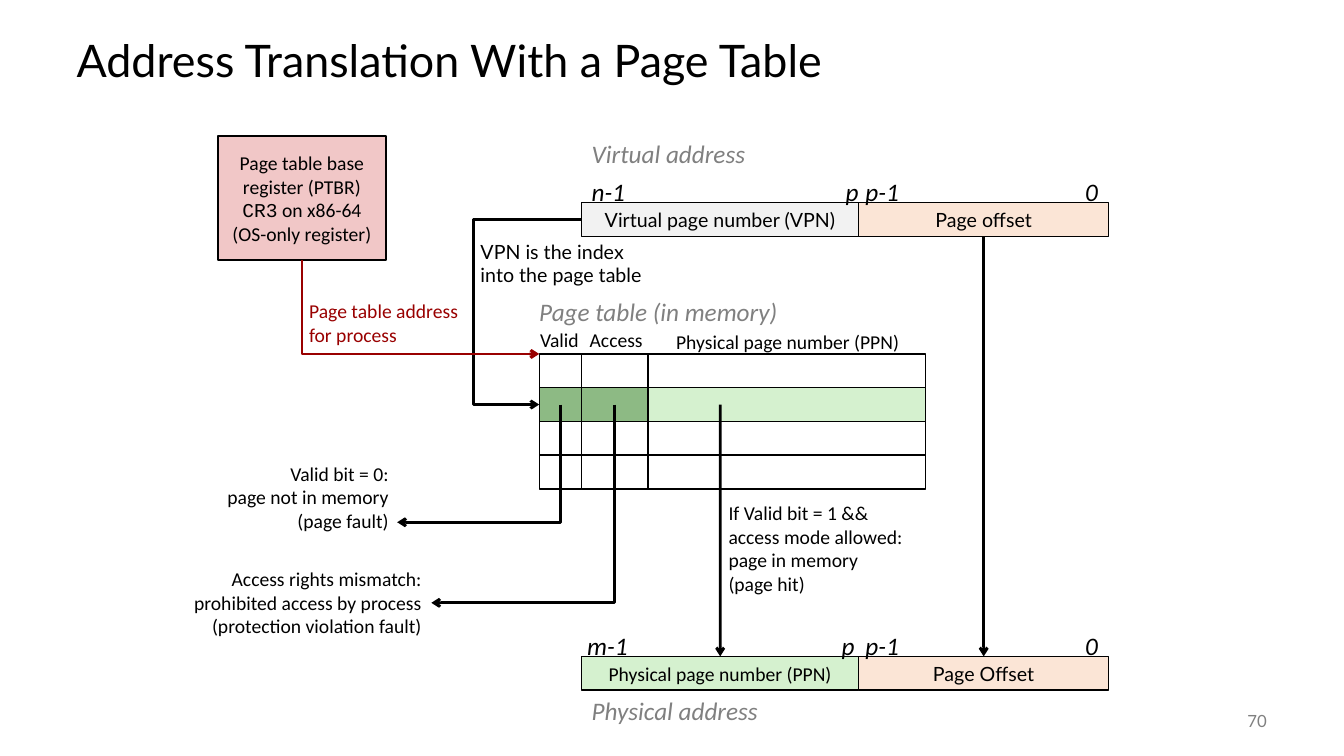
from pptx import Presentation
from pptx.dml.color import RGBColor
from pptx.enum.shapes import MSO_CONNECTOR, MSO_SHAPE
from pptx.enum.text import MSO_ANCHOR, MSO_AUTO_SIZE, PP_ALIGN
from pptx.oxml.ns import qn
from pptx.util import Cm, Pt
from lxml.etree import SubElement

THEME = {
    "ink": "000000", "muted": "808080", "red": "990000",
    "pink": "F1C7C7", "grey": "F2F2F2", "peach": "FBE5D6",
    "green": "D5F1CF", "dark_green": "8DBA84",
    "sans": "Lato", "body": "Calibri", "code": "Courier New",
    "title": 32, "heading": 18, "label": 14, "number": 12,
}
ALIGN = {"l": PP_ALIGN.LEFT, "c": PP_ALIGN.CENTER, "r": PP_ALIGN.RIGHT}

# Content: all lengths in centimetres
TITLE = "Address Translation With a Page Table"
PAGE_NUMBER = "70"
REGISTER = ["Page table base register (PTBR)",
            [("CR3", "code"), (" on x86-64", "body")],
            "(OS-only register)"]
REGISTER_BOX = (5.49, 3.43, 4.24, 3.12)

FIELD_EDGES = [14.66, 21.64, 27.94]
ADDRESSES = {  # top, then (text, fill, font) of each field
    "virtual": (5.11, [("Virtual page number (VPN)", "grey", "sans"),
                       ("Page offset", "peach", "sans")]),
    "physical": (16.54, [("Physical page number (PPN)", "green", "body"),
                         ("Page Offset", "peach", "sans")]),
}
BIT_LABELS = [  # top, then (text, left, width)
    (4.32, [("n-1", 14.66, 1.37), ("p", 21.06, 0.86), ("p-1", 21.56, 1.37), ("0", 27.1, 0.84)]),
    (15.77, [("m-1", 14.55, 1.55), ("p", 20.96, 0.86), ("p-1", 21.56, 1.37), ("0", 27.1, 0.84)]),
]
HEADINGS = [
    ("Virtual address", (14.66, 3.35, 4.52, 1.02)),
    ("Physical address", (14.66, 17.4, 4.85, 1.02)),
    ("Page table (in memory)", (13.34, 7.34, 6.58, 1.02)),
]
COLUMN_LABELS = [
    ("Valid", (13.36, 8.15, 1.55, 0.86)),
    ("Access", (14.61, 8.15, 1.85, 0.86)),
    ("Physical page number (PPN)", (16.79, 8.18, 6.3, 0.86)),
]
NOTES = [  # lines, box, format
    (["Page table address", "for process"], (7.54, 7.42, 4.39, 1.45), {"color": "red"}),
    (["Valid bit = 0:", "page not in memory", "(page fault)"],
     (5.38, 11.51, 4.67, 2.06), {"align": "r"}),
    (["Access rights mismatch:", "prohibited access by process", "(protection violation fault)"],
     (4.45, 14.17, 6.43, 2.06), {"align": "r"}),
    (["If Valid bit = 1 &&", "access mode allowed:", "page in memory", "(page hit)"],
     (18.11, 12.5, 4.93, 2.64), {}),
    (["VPN is the index \vinto the page table"], (11.86, 5.92, 4.83, 1.45), {"font": "sans"}),
]
TABLE_TOP, ROW_HEIGHT, ROW_COUNT, HIT_ROW = 8.92, 0.85, 4, 1
COLUMN_EDGES = [13.59, 14.65, 16.33, 23.32]
HIT_FILLS = ["dark_green", "dark_green", "green"]
VPN_BEND_X = 11.94
VALID_FAULT_TIP = (10.01, 13.16)
ACCESS_FAULT_TIP = (10.87, 15.19)

deck = Presentation()
deck.slide_width, deck.slide_height = Cm(33.87), Cm(19.05)
page = deck.slides.add_slide(deck.slide_layouts[6])


def color_of(name):
    return RGBColor.from_string(THEME[name])


def write(frame, lines, size="label", font="body", color="ink", align="l",
          italic=False, anchor=MSO_ANCHOR.TOP, wrap=False, spacing=None):
    """Fill a text frame; a line is a string or a list of (text, font) spans."""
    frame.word_wrap = wrap
    frame.auto_size = MSO_AUTO_SIZE.NONE if wrap else MSO_AUTO_SIZE.SHAPE_TO_FIT_TEXT
    frame.vertical_anchor = anchor
    for index, line in enumerate(lines):
        para = frame.add_paragraph() if index else frame.paragraphs[0]
        para.alignment = ALIGN[align]
        if spacing:
            para.line_spacing = spacing
        spans = [(line, font)] if isinstance(line, str) else line
        for text, face in spans:
            for part_index, part in enumerate(text.split("\v")):
                if part_index:
                    para.add_line_break()
                span = para.add_run()
                span.text = part
                span.font.name = THEME[face]
                span.font.size = Pt(THEME[size])
                span.font.italic = italic
                span.font.color.rgb = color_of(color)


def add_label(lines, box, **style):
    write(page.shapes.add_textbox(*map(Cm, box)).text_frame, lines, **style)


def add_box(box, fill=None, lines=(), **style):
    shape = page.shapes.add_shape(MSO_SHAPE.RECTANGLE, *map(Cm, box))
    shape.shadow.inherit = False
    shape.line.color.rgb = color_of("ink")
    shape.line.width = Pt(1)
    if fill:
        shape.fill.solid()
        shape.fill.fore_color.rgb = color_of(fill)
    else:
        shape.fill.background()
    if lines:
        write(shape.text_frame, lines, align="c", anchor=MSO_ANCHOR.MIDDLE, wrap=True, **style)
    return shape


def add_arrow(start, tip, kind=MSO_CONNECTOR.STRAIGHT, color="ink"):
    arrow = page.shapes.add_connector(kind, *map(Cm, (*start, *tip)))
    arrow.line.color.rgb = color_of(color)
    arrow.line.width = Pt(2)
    SubElement(arrow.line._get_or_add_ln(), qn("a:tailEnd"), type="arrow")
    SubElement(arrow._element.spPr, qn("a:effectLst"))
    return arrow


def add_corner_arrow(start, tip, color="ink", source=None):
    """Go straight down from start, then sideways to tip."""
    arrow = add_arrow(start, tip, MSO_CONNECTOR.ELBOW, color)
    if source is not None:
        arrow.begin_connect(source, 2)
    across, down = abs(tip[0] - start[0]), tip[1] - start[1]
    arrow.left = Cm((start[0] + tip[0] - down) / 2)
    arrow.top = Cm((start[1] + tip[1] - across) / 2)
    arrow.width, arrow.height = Cm(down), Cm(across)
    frame = arrow._element.spPr.find(qn("a:xfrm"))
    rightward = tip[0] > start[0]
    frame.set("rot", str((270 if rightward else 90) * 60000))
    frame.set("flipH", "1" if rightward else "0")
    frame.set("flipV", "0")
    arrow._element.spPr.find(qn("a:prstGeom")).set("prst", "bentConnector2")


# Title and page number
add_label([TITLE], (1.68, 0.64, 30.48, 1.9), size="title", font="sans",
          anchor=MSO_ANCHOR.MIDDLE, wrap=True, spacing=0.9)
add_label([PAGE_NUMBER], (29.64, 17.65, 2.54, 1.02), size="number", font="sans",
          color="muted", align="r", anchor=MSO_ANCHOR.MIDDLE, wrap=True)

# Register and the two addresses
register = add_box(REGISTER_BOX, "pink", REGISTER)
fields = {}
for name, (top, parts) in ADDRESSES.items():
    fields[name] = [
        add_box((left, top, right - left, ROW_HEIGHT), fill, [text], font=font)
        for left, right, (text, fill, font) in zip(FIELD_EDGES, FIELD_EDGES[1:], parts)]

# Page table
cells = [[add_box((left, TABLE_TOP + row * ROW_HEIGHT, right - left, ROW_HEIGHT),
                  fill if row == HIT_ROW else None)
          for left, right, fill in zip(COLUMN_EDGES, COLUMN_EDGES[1:], HIT_FILLS)]
         for row in range(ROW_COUNT)]

# Labels
for text, box in HEADINGS:
    add_label([text], box, size="heading", color="muted", italic=True)
for text, box in COLUMN_LABELS:
    add_label([text], box)
for lines, box, style in NOTES:
    add_label(lines, box, **style)
for top, labels in BIT_LABELS:
    for text, left, width in labels:
        add_label([text], (left, top, width, 1.02), size="heading", italic=True)

# Arrows
hit_y = TABLE_TOP + (HIT_ROW + 0.5) * ROW_HEIGHT
valid_x, access_x = [(a + b) / 2 for a, b in zip(COLUMN_EDGES[:2], COLUMN_EDGES[1:3])]
number_x, offset_x = [(a + b) / 2 for a, b in zip(FIELD_EDGES, FIELD_EDGES[1:])]
virtual_top, physical_top = ADDRESSES["virtual"][0], ADDRESSES["physical"][0]

index_arrow = add_arrow((FIELD_EDGES[0], virtual_top + ROW_HEIGHT / 2),
                        (COLUMN_EDGES[0], hit_y), MSO_CONNECTOR.ELBOW)
index_arrow.begin_connect(fields["virtual"][0], 1)
index_arrow.end_connect(cells[HIT_ROW][0], 1)
bend = (FIELD_EDGES[0] - VPN_BEND_X) / (FIELD_EDGES[0] - COLUMN_EDGES[0])
guides = index_arrow._element.spPr.find(qn("a:prstGeom")).get_or_add_avLst()
SubElement(guides, qn("a:gd"), name="adj1", fmla=f"val {round(bend * 100000)}")

offset_arrow = add_arrow((offset_x, virtual_top + ROW_HEIGHT), (offset_x, physical_top))
offset_arrow.begin_connect(fields["virtual"][1], 2)
offset_arrow.end_connect(fields["physical"][1], 0)
number_arrow = add_arrow((number_x, hit_y), (number_x, physical_top))
number_arrow.end_connect(fields["physical"][0], 0)

add_corner_arrow((valid_x, hit_y), VALID_FAULT_TIP)
add_corner_arrow((access_x, hit_y), ACCESS_FAULT_TIP)
left, top, width, height = REGISTER_BOX
add_corner_arrow((left + width / 2, top + height), (COLUMN_EDGES[0], TABLE_TOP), "red", register)

deck.save("out.pptx")
